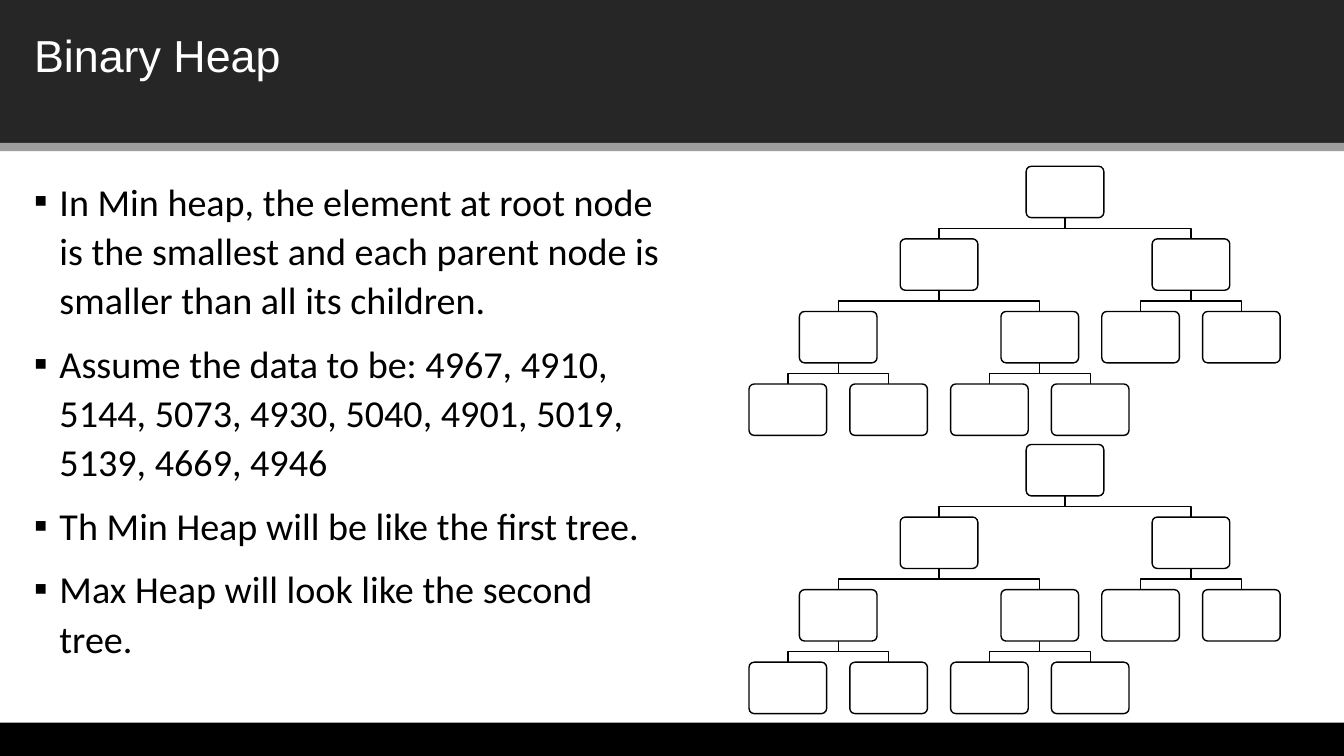
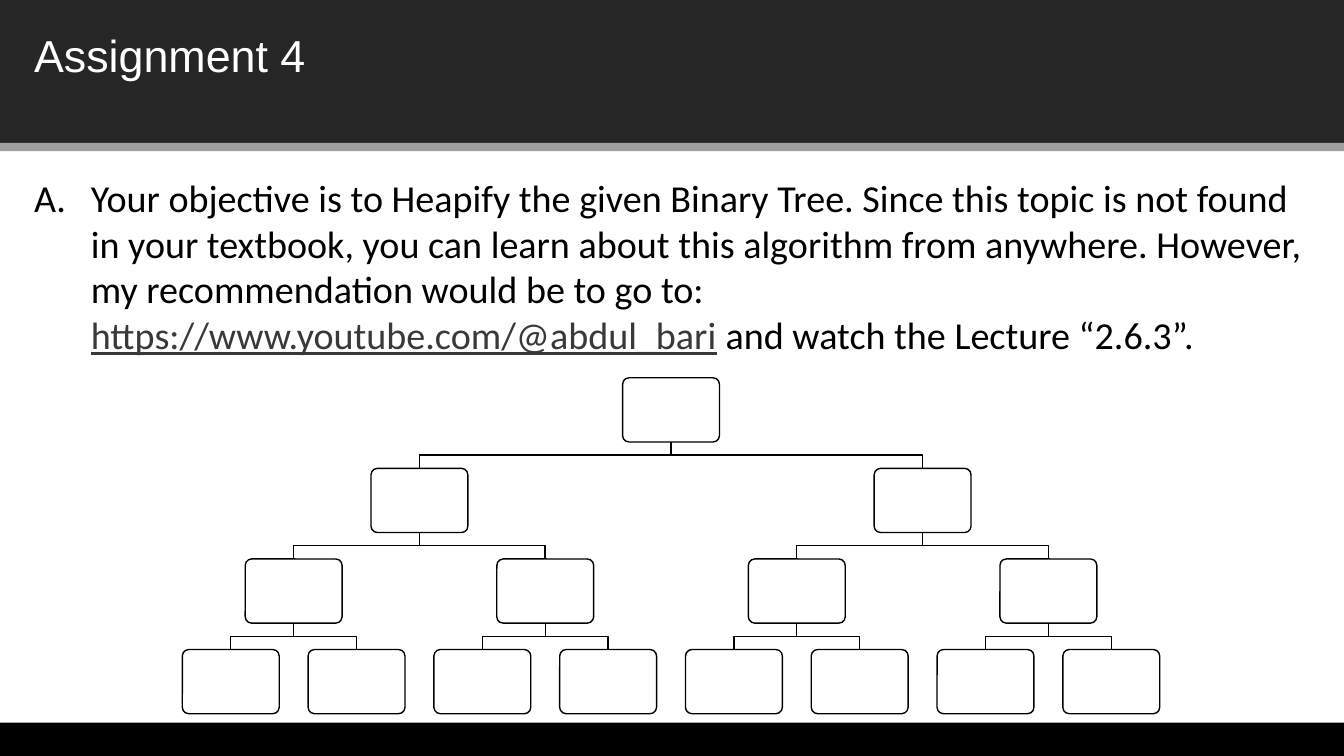
"""Build two slides about binary heaps and save them to out.pptx."""
import lxml.etree
import pptx
import pptx.dml.color
import pptx.enum.shapes
import pptx.enum.text
import pptx.oxml.ns
import pptx.util

Cm = pptx.util.Cm
Pt = pptx.util.Pt
SHAPE = pptx.enum.shapes.MSO_SHAPE

COLORS = {
    "band": "262626",
    "rule": "9F9F9F",
    "black": "000000",
    "white": "FFFFFF",
    "link": "3A3838",
}
WIDTH, HEIGHT = 33.87, 19.05
MARGIN, TITLE_WIDTH = 0.61, 32.61
BODY_TOP = 4.27
NODE_WIDTH, NODE_HEIGHT, ROW_STEP = 0.77, 0.51, 0.72

LEAF = ()
PAIR = (0.5, LEAF, LEAF)
QUAD = (1, PAIR, PAIR)
HEAP = (1.25, QUAD, PAIR)
FULL_TREE = (2, QUAD, QUAD)

HEAP_POINTS = [
    "In Min heap, the element at root node is the smallest and each parent "
    "node is smaller than all its children.",
    "Assume the data to be: 4967, 4910, 5144, 5073, 4930, 5040, 4901, 5019, "
    "5139, 4669, 4946",
    "Th Min Heap will be like the first tree.",
    "Max Heap will look like the second tree.",
]
TASK_RUNS = [
    ("Your objective is to Heapify the given Binary Tree. Since this topic is "
     "not found in your textbook, you can learn about this algorithm from "
     "anywhere. However, my recommendation would be to go to: ", {}),
    ("https://www.youtube.com/@abdul_bari", {"color": "link", "underline": True}),
    (" and watch the Lecture “2.6.3”.", {}),
]


def rgb(name):
    return pptx.dml.color.RGBColor.from_string(COLORS[name])


def add_run(p, text, size=27.2, font="Calibri", color="black", underline=None):
    r = p.add_run()
    r.text = text
    r.font.size = Pt(size)
    r.font.name = font
    r.font.color.rgb = rgb(color)
    r.font.underline = underline


def add_box(s, left, top, width, height):
    sp = s.shapes.add_textbox(Cm(left), Cm(top), Cm(width), Cm(height))
    tf = sp.text_frame
    tf.word_wrap = True
    return tf


def add_bullet(p, indent, tag, **attributes):
    pPr = p._p.get_or_add_pPr()
    pPr.set("marL", str(Cm(indent)))
    pPr.set("indent", str(-Cm(indent)))
    if tag == "a:buChar":
        lxml.etree.SubElement(
            pPr, pptx.oxml.ns.qn("a:buFont"), typeface="Calibri")
    lxml.etree.SubElement(pPr, pptx.oxml.ns.qn(tag), **attributes)


def add_band(s, top, height, color):
    sp = s.shapes.add_shape(
        SHAPE.RECTANGLE, 0, Cm(top), Cm(WIDTH), Cm(height))
    sp.shadow.inherit = False
    sp.fill.solid()
    sp.fill.fore_color.rgb = rgb(color)
    sp.line.fill.background()


def add_slide(prs, title):
    s = prs.slides.add_slide(prs.slide_layouts[6])
    add_band(s, 0, 3.6, "band")
    add_band(s, 3.6, 0.21, "rule")
    add_band(s, 18.21, 0.84, "black")
    tf = add_box(s, MARGIN, 0.56, TITLE_WIDTH, 1.63)
    tf.vertical_anchor = pptx.enum.text.MSO_ANCHOR.MIDDLE
    add_run(tf.paragraphs[0], title, size=32, font="Arial", color="white")
    return s


def set_outline(sp):
    sp.shadow.inherit = False
    sp.line.color.rgb = rgb("black")
    sp.line.width = Pt(1)


def add_elbow(shapes, x1, y1, x2, y2):
    middle = (y1 + y2) / 2
    points = [(Cm(x), Cm(y)) for x, y in
              [(x1, y1), (x1, middle), (x2, middle), (x2, y2)]]
    builder = shapes.build_freeform(*points[0])
    builder.add_line_segments(points[1:], close=False)
    sp = builder.convert_to_shape()
    sp.fill.background()
    set_outline(sp)


def add_node(shapes, tree, center, top, pitch):
    width, height = NODE_WIDTH * pitch, NODE_HEIGHT * pitch
    sp = shapes.add_shape(SHAPE.ROUNDED_RECTANGLE, Cm(center - width / 2),
                          Cm(top), Cm(width), Cm(height))
    sp.adjustments[0] = 0.1
    sp.fill.solid()
    sp.fill.fore_color.rgb = rgb("white")
    set_outline(sp)
    if not tree:
        return
    spread, *children = tree
    child_top = top + ROW_STEP * pitch
    for side, child in zip((-1, 1), children):
        child_center = center + side * spread * pitch
        add_elbow(shapes, center, top + height, child_center, child_top)
        add_node(shapes, child, child_center, child_top, pitch)


def add_tree(s, tree, center, top, pitch):
    add_node(s.shapes.add_group_shape().shapes, tree, center, top, pitch)


def add_heap_slide(prs):
    s = add_slide(prs, "Binary Heap")
    tf = add_box(s, MARGIN, BODY_TOP, 16.33, 13.59)
    for i, text in enumerate(HEAP_POINTS):
        p = tf.add_paragraph() if i else tf.paragraphs[0]
        add_bullet(p, 0.64, "a:buChar", char="▪")
        p.line_spacing = 1.08
        if i:
            p.space_before = Pt(10)
        add_run(p, text)
    for top in (4.19, 11.2):
        add_tree(s, HEAP, 26.84, top, 2.54)


def add_assignment_slide(prs):
    s = add_slide(prs, "Assignment 4")
    p = add_box(s, MARGIN, BODY_TOP, TITLE_WIDTH, 5.26).paragraphs[0]
    add_bullet(p, 1.43, "a:buAutoNum", type="alphaUcPeriod")
    for text, style in TASK_RUNS:
        add_run(p, text, **style)
    add_tree(s, FULL_TREE, 16.91, 9.52, 3.17)


def main():
    prs = pptx.Presentation()
    prs.slide_width = Cm(WIDTH)
    prs.slide_height = Cm(HEIGHT)
    add_heap_slide(prs)
    add_assignment_slide(prs)
    prs.save("out.pptx")


if __name__ == "__main__":
    main()
